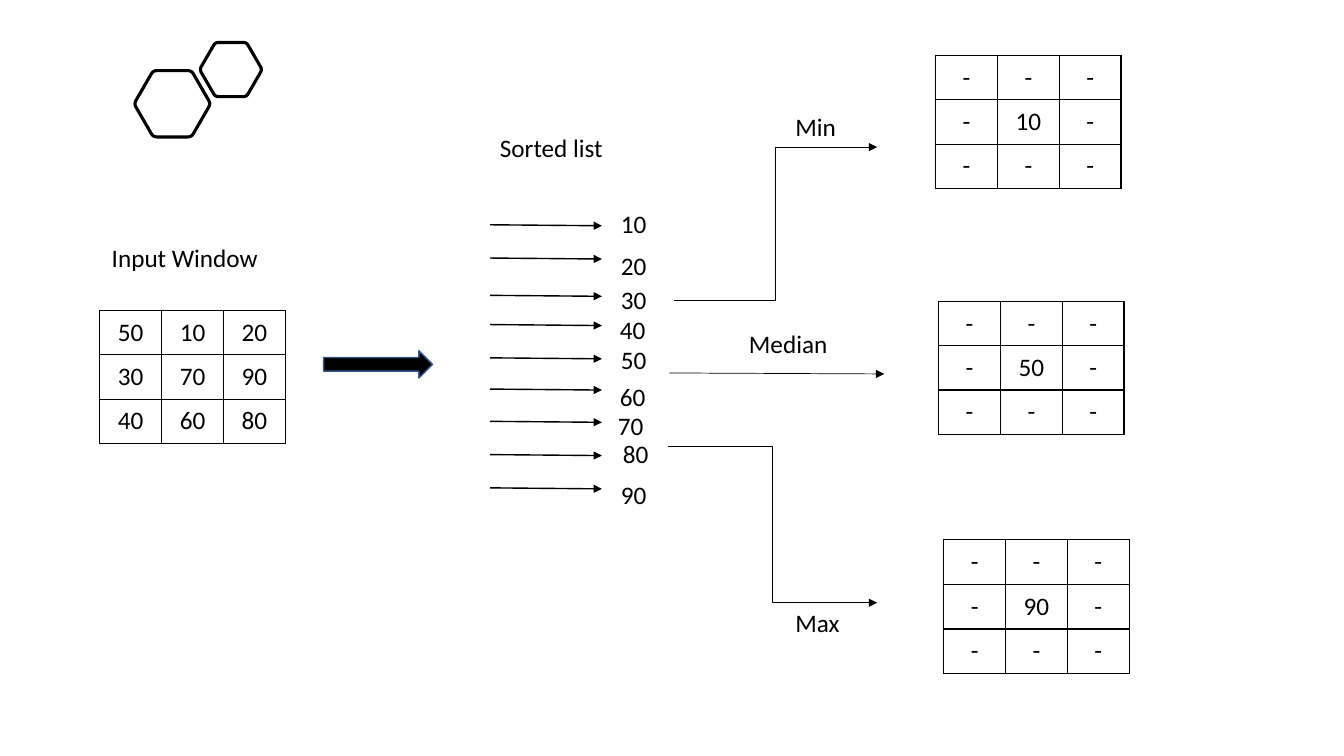
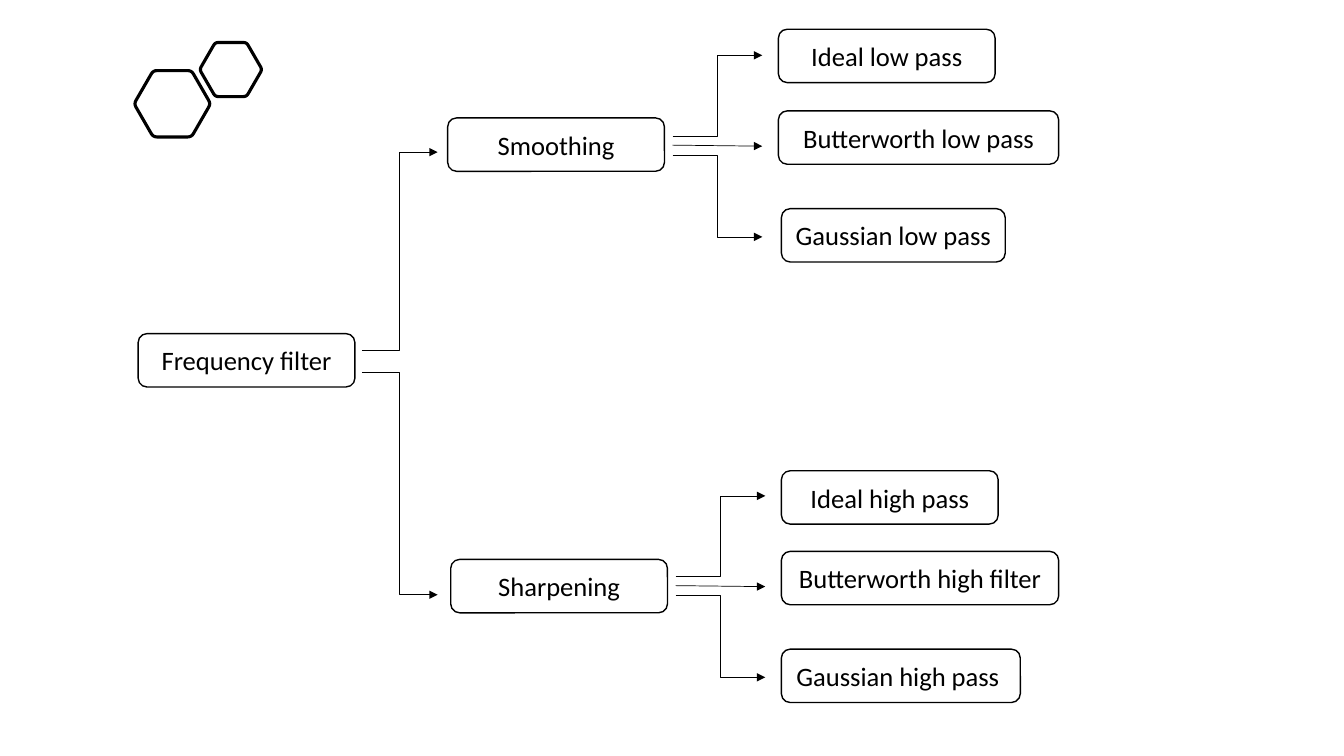
import math

import pptx
import pptx.dml.color
import pptx.enum.shapes
import pptx.enum.text
import pptx.oxml
import pptx.oxml.ns
import pptx.util

Inches = pptx.util.Inches
Pt = pptx.util.Pt
RGBColor = pptx.dml.color.RGBColor
SHAPE = pptx.enum.shapes.MSO_SHAPE
LINK = pptx.enum.shapes.MSO_CONNECTOR
ALIGN = pptx.enum.text.PP_ALIGN
MIDDLE = pptx.enum.text.MSO_ANCHOR.MIDDLE
qn = pptx.oxml.ns.qn

BLACK = RGBColor(0x00, 0x00, 0x00)
WHITE = RGBColor(0xFF, 0xFF, 0xFF)
BLUE = RGBColor(0x32, 0x54, 0x91)
FONT = {"name": "Calibri", "bold": False}
BORDER = (
    '<a:{} xmlns:a="http://schemas.openxmlformats.org/drawingml/2006/main" w="12700">'
    '<a:solidFill><a:srgbClr val="{}"/></a:solidFill></a:{}>'
)


def write(frame, text, size=18, align=ALIGN.LEFT):
    para = frame.paragraphs[0]
    para.alignment = align
    run = para.add_run()
    run.text = text
    for key, val in {**FONT, "size": Pt(size)}.items():
        setattr(run.font, key, val)
    run.font.color.rgb = BLACK


def arrow(slide, kind, start, end, width=0.5):
    """Draw a black connector with a triangle head at its end."""
    con = slide.shapes.add_connector(kind, *[Inches(v) for v in (*start, *end)])
    con.line.color.rgb = BLACK
    con.line.width = Pt(width)
    props = con.element.spPr
    head = props.find(qn("a:ln")).makeelement(qn("a:tailEnd"), {"type": "triangle"})
    props.find(qn("a:ln")).append(head)
    props.append(props.makeelement(qn("a:effectLst"), {}))


deck = pptx.Presentation()
deck.slide_width, deck.slide_height = Inches(13.33), Inches(7.5)
blank = deck.slide_layouts[6]
rank, tree = [deck.slides.add_slide(blank) for _ in range(2)]

# Two rounded hexagons on every slide: centre and radius
CUT = 0.1
for slide in (rank, tree):
    for mid_x, mid_y, rad in ((2.29, 0.69, 0.31), (1.71, 1.03, 0.38)):
        tips = [
            (mid_x + rad * math.cos(k * math.pi / 3), mid_y + rad * math.sin(k * math.pi / 3))
            for k in range(6)
        ]
        dots = []
        for k, tip in enumerate(tips):
            last, succ = tips[k - 1], tips[(k + 1) % 6]
            for t in (0, 0.25, 0.5, 0.75, 1):
                back, fore = CUT * (1 - t) ** 2, CUT * t ** 2
                dots.append([
                    Inches(c + back * (a - c) + fore * (b - c))
                    for a, b, c in zip(last, succ, tip)
                ])
        pen = slide.shapes.build_freeform(*dots[0], scale=1.0)
        pen.add_line_segments(dots[1:], close=True)
        hexa = pen.convert_to_shape()
        hexa.shadow.inherit = False
        hexa.fill.background()
        hexa.line.color.rgb = BLACK
        hexa.line.width = Pt(2.25)

# Slide 1: order filters on a 3 by 3 window
grids = [(0.99, 3.08, 0.44, ["50 10 20", "30 70 90", "40 60 80"])]
for left, top, first, value in (
    (9.28, 0.55, 0.44, "10"), (9.31, 2.99, 0.44, "50"), (9.36, 5.35, 0.45, "90"),
):
    grids.append((left, top, first, ["- - -", f"- {value} -", "- - -"]))

SIDE = 1.84 / 3
for left, top, first, rows in grids:
    table = rank.shapes.add_table(
        3, 3, Inches(left), Inches(top), Inches(1.84), Inches(first + 0.88)
    ).table
    table.first_row = table.horz_banding = False
    for r, row in enumerate(rows):
        table.rows[r].height = Inches(0.44 if r else first)
        table.columns[r].width = Inches(SIDE)
        for c, text in enumerate(row.split()):
            cell = table.cell(r, c)
            cell.vertical_anchor = MIDDLE
            write(cell.text_frame, text, align=ALIGN.CENTER)
            props = cell._tc.get_or_add_tcPr()
            for tag in ("lnL", "lnR", "lnT", "lnB"):
                props.append(pptx.oxml.parse_xml(BORDER.format(tag, BLACK, tag)))
            cell.fill.background()

block = rank.shapes.add_shape(
    SHAPE.RIGHT_ARROW, Inches(3.21), Inches(3.48), Inches(1.08), Inches(0.27)
)
block.shadow.inherit = False
block.fill.solid()
block.fill.fore_color.rgb = BLACK
block.line.color.rgb = BLUE
block.line.width = Pt(1)

for y in (2.23, 2.56, 2.93, 3.22, 3.55, 3.86, 4.18, 4.51, 4.84):
    arrow(rank, LINK.STRAIGHT, (4.86, y), (5.97, y + 0.01), 1)

arrow(rank, LINK.STRAIGHT, (6.64, 3.7), (8.77, 3.71))
arrow(rank, LINK.ELBOW, (6.68, 2.98), (8.7, 1.46))
arrow(rank, LINK.ELBOW, (6.63, 4.43), (8.7, 5.98))

labels = [
    ("Min", 7.79, 1.06, 0.74),
    ("Median", 7.33, 3.21, 1.19),
    ("Max", 7.79, 5.98, 0.74),
    ("Input Window", 1.01, 2.36, 1.78),
    ("Sorted list", 4.86, 1.26, 1.29),
]
spots = (
    (6.06, 2.02), (6.06, 2.43), (6.06, 2.77), (6.05, 3.07), (6.06, 3.37),
    (6.05, 3.73), (6.03, 4.02), (6.08, 4.3), (6.06, 4.71),
)
for k, (x, y) in enumerate(spots, 1):
    labels.append((str(10 * k), x, y, 0.59))
for text, x, y, wide in labels:
    frame = rank.shapes.add_textbox(Inches(x), Inches(y), Inches(wide), Inches(0.4)).text_frame
    frame.word_wrap = True
    write(frame, text)

# Slide 2: tree of frequency filters
boxes = [
    ("Frequency filter", 1.37, 3.31, 2.15),
    ("Smoothing", 4.44, 1.17, 2.15),
    ("Ideal low pass", 7.72, 0.29, 2.15),
    ("Butterworth low pass", 7.72, 1.1, 2.78),
    ("Gaussian low pass", 7.75, 2.07, 2.22),
    ("Sharpening", 4.47, 5.55, 2.15),
    ("Ideal high pass", 7.75, 4.67, 2.15),
    ("Butterworth high filter", 7.75, 5.47, 2.75),
    ("Gaussian high pass ", 7.75, 6.44, 2.37),
]
for text, x, y, wide in boxes:
    box = tree.shapes.add_shape(
        SHAPE.ROUNDED_RECTANGLE, Inches(x), Inches(y), Inches(wide), Inches(0.53)
    )
    box.shadow.inherit = False
    box.fill.solid()
    box.fill.fore_color.rgb = WHITE
    box.line.color.rgb = BLACK
    box.line.width = Pt(1)
    box.text_frame.word_wrap = True
    box.text_frame.vertical_anchor = MIDDLE
    write(box.text_frame, text, 19, ALIGN.CENTER)

arrow(tree, LINK.ELBOW, (3.59, 3.48), (4.34, 1.51))
arrow(tree, LINK.ELBOW, (3.59, 3.69), (4.34, 5.9))
for x, y in ((6.67, 1.44), (6.7, 5.81)):
    arrow(tree, LINK.ELBOW, (x, y - 0.09), (x + 0.89, y - 0.89))
    arrow(tree, LINK.STRAIGHT, (x, y), (x + 0.89, y + 0.01))
    arrow(tree, LINK.ELBOW, (x, y + 0.1), (x + 0.89, y + 0.91))

deck.save("out.pptx")
